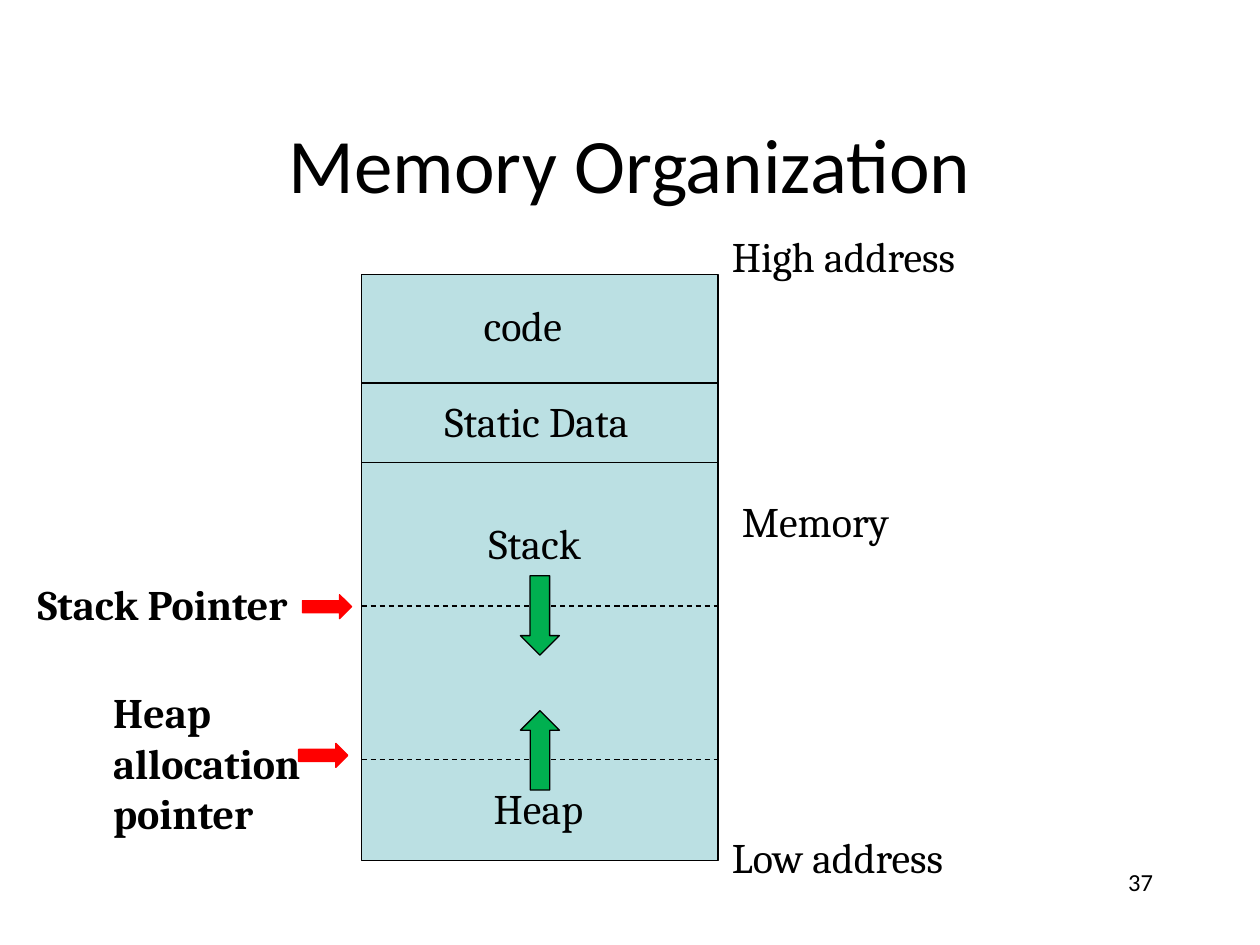
"""Build the Memory Organization slide."""
from dataclasses import dataclass
from typing import Any, NamedTuple

import pptx
import pptx.dml.color
import pptx.enum.dml
import pptx.enum.shapes
import pptx.enum.text
import pptx.oxml.ns
import pptx.util
from lxml import etree

SHAPE = pptx.enum.shapes.MSO_SHAPE
ALIGN = pptx.enum.text.PP_ALIGN
ANCHOR = pptx.enum.text.MSO_ANCHOR
EMU_PER_PX = 9144


@dataclass(frozen=True)
class Theme:
    """Colours, fonts, type sizes and line width."""
    ink: str = "000000"
    memory: str = "BBE0E3"
    growth: str = "00B050"
    pointer: str = "FF0000"
    heading_font: str = "Calibri"
    body_font: str = "Cambria"
    title_pt: int = 44
    label_pt: int = 24
    number_pt: int = 14
    line_pt: float = 0.75


class Box(NamedTuple):
    """Position and size in px."""
    x: int
    y: int
    w: int
    h: int


class Label(NamedTuple):
    """A text label and its box."""
    text: str
    box: Box
    bold: bool = False


class Divider(NamedTuple):
    """A horizontal line between memory regions."""
    y: int
    dashed: bool = False


class Block(NamedTuple):
    """A filled shape with an outline."""
    kind: Any
    box: Box
    fill: str
    line: str
    rotation: int = 0


THEME = Theme()
MEMORY = Box(287, 218, 283, 465)
DIVIDER_RIGHT = 571
TEXT_H = 50
GROWTH_W, GROWTH_H = 31, 63
POINTER_W, POINTER_H = 39, 19

BLOCKS = [
    Block(SHAPE.RECTANGLE, MEMORY, THEME.memory, THEME.ink),
]
DIVIDERS = [Divider(304), Divider(367), Divider(481, True), Divider(603, True)]
ARROWS = [
    Block(SHAPE.DOWN_ARROW, Box(413, 457, GROWTH_W, GROWTH_H), THEME.growth, THEME.ink),
    Block(SHAPE.DOWN_ARROW, Box(413, 564, GROWTH_W, GROWTH_H), THEME.growth, THEME.ink, 180),
    Block(SHAPE.RIGHT_ARROW, Box(240, 472, POINTER_W, POINTER_H), THEME.pointer, THEME.pointer),
    Block(SHAPE.RIGHT_ARROW, Box(237, 590, POINTER_W, POINTER_H), THEME.pointer, THEME.pointer),
]
LABELS = [
    Label("High address", Box(571, 178, 197, TEXT_H)),
    Label("Memory", Box(579, 388, 197, TEXT_H)),
    Label("Low address", Box(571, 655, 197, TEXT_H)),
    Label("code", Box(374, 233, 197, TEXT_H)),
    Label("Static Data", Box(343, 309, 197, TEXT_H)),
    Label("Stack", Box(378, 406, 98, TEXT_H)),
    Label("Heap", Box(382, 616, 98, TEXT_H)),
    Label("Stack Pointer", Box(20, 454, 239, TEXT_H), True),
    Label("Heap allocation pointer", Box(80, 540, 170, 131), True),
]


def px(n: int) -> pptx.util.Emu:
    """Turn px into EMU."""
    return pptx.util.Emu(n * EMU_PER_PX)


def rgb(value: str) -> pptx.dml.color.RGBColor:
    """Turn a hex string into a colour."""
    return pptx.dml.color.RGBColor.from_string(value)


def write(tf: Any, text: str, *, size: int = THEME.label_pt, font: str = THEME.body_font,
          bold: bool = False, align: Any = ALIGN.LEFT, anchor: Any = ANCHOR.TOP) -> None:
    """Put formatted text into a text frame."""
    tf.word_wrap = True
    tf.vertical_anchor = anchor
    p = tf.paragraphs[0]
    p.alignment = align
    r = p.add_run()
    r.text = text
    r.font.size = pptx.util.Pt(size)
    r.font.name = font
    r.font.bold = bold
    r.font.color.rgb = rgb(THEME.ink)


def add_text(s: Any, box: Box, text: str, **style: Any) -> None:
    """Add a text box."""
    write(s.shapes.add_textbox(*map(px, box)).text_frame, text, **style)


def add_block(s: Any, block: Block) -> None:
    """Add a filled preset shape."""
    sp = s.shapes.add_shape(block.kind, *map(px, block.box))
    sp.shadow.inherit = False
    sp.rotation = block.rotation
    sp.fill.solid()
    sp.fill.fore_color.rgb = rgb(block.fill)
    sp.line.color.rgb = rgb(block.line)
    sp.line.width = pptx.util.Pt(THEME.line_pt)


def add_divider(s: Any, divider: Divider) -> None:
    """Add a line across the memory column."""
    y = px(divider.y)
    cxn = s.shapes.add_connector(pptx.enum.shapes.MSO_CONNECTOR.STRAIGHT,
                                 px(MEMORY.x), y, px(DIVIDER_RIGHT), y)
    cxn.line.color.rgb = rgb(THEME.ink)
    cxn.line.width = pptx.util.Pt(THEME.line_pt)
    if divider.dashed:
        cxn.line.dash_style = pptx.enum.dml.MSO_LINE.DASH
    etree.SubElement(cxn._element.spPr, pptx.oxml.ns.qn("a:effectLst"))


def add_title(s: Any, box: Box, text: str) -> None:
    """Place and fill the title placeholder."""
    sp = s.shapes.title
    sp.left, sp.top, sp.width, sp.height = map(px, box)
    write(sp.text_frame, text, size=THEME.title_pt, font=THEME.heading_font,
          align=ALIGN.CENTER, anchor=ANCHOR.MIDDLE)


def main() -> None:
    """Build and save the slide."""
    prs = pptx.Presentation()
    prs.slide_width, prs.slide_height = px(1000), px(750)
    s = prs.slides.add_slide(prs.slide_layouts[5])
    add_title(s, Box(75, 67, 850, 125), "Memory Organization")
    for block in BLOCKS:
        add_block(s, block)
    for divider in DIVIDERS:
        add_divider(s, divider)
    for arrow in ARROWS:
        add_block(s, arrow)
    for label in LABELS:
        add_text(s, label.box, label.text, bold=label.bold)
    add_text(s, Box(717, 683, 208, 50), "37", size=THEME.number_pt,
             font=THEME.heading_font, align=ALIGN.RIGHT)
    prs.save("out.pptx")


if __name__ == "__main__":
    main()
